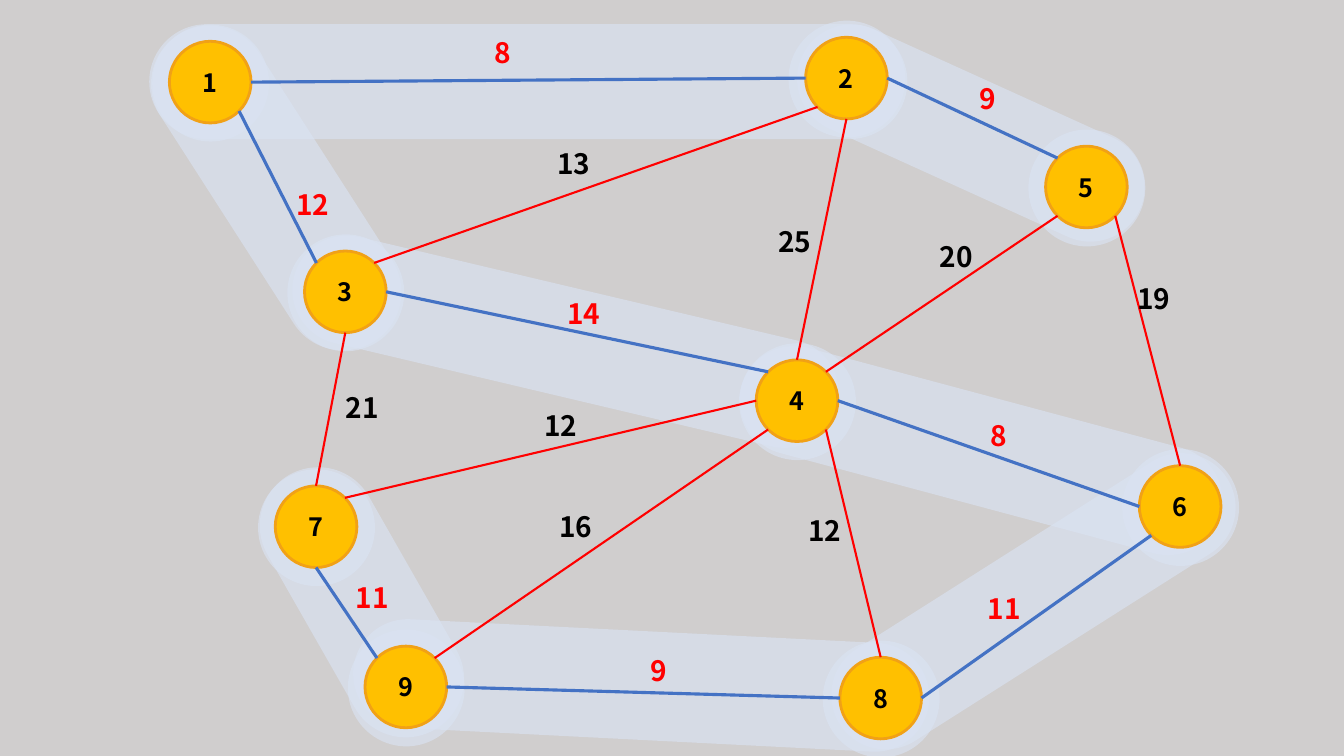
import math

import lxml.etree
import pptx
import pptx.dml.color
import pptx.enum.shapes
import pptx.enum.text
import pptx.oxml.ns
import pptx.util

BACKGROUND = pptx.dml.color.RGBColor(0xD0, 0xCE, 0xCE)
TREE_GLOW = pptx.dml.color.RGBColor(0xDA, 0xE3, 0xF3)
NODE_FILL = pptx.dml.color.RGBColor(0xFF, 0xC0, 0x00)
NODE_RIM = pptx.dml.color.RGBColor(0xF1, 0xA1, 0x16)
TREE_EDGE = pptx.dml.color.RGBColor(0x44, 0x72, 0xC4)
RED = pptx.dml.color.RGBColor(0xFF, 0x00, 0x00)
BLACK = pptx.dml.color.RGBColor(0x00, 0x00, 0x00)

ROUND_RECT = pptx.enum.shapes.MSO_SHAPE.ROUNDED_RECTANGLE
OVAL = pptx.enum.shapes.MSO_SHAPE.OVAL
CENTER = pptx.enum.text.PP_ALIGN.CENTER
LEFT = pptx.enum.text.PP_ALIGN.LEFT

deck = pptx.Presentation()
deck.slide_width = pptx.util.Inches(13.33)
deck.slide_height = pptx.util.Inches(7.5)
graph = deck.slides.add_slide(deck.slide_layouts[6])
graph.background.fill.solid()
graph.background.fill.fore_color.rgb = BACKGROUND

# The slide is a grid of 1333 columns by 750 rows with square cells
COLUMNS = 1333
NODE_SIZE, HALO_SIZE = 81, 116
LABEL_HEIGHT = 44


def cells(*counts):
    return [pptx.util.Emu(round(n * deck.slide_width / COLUMNS)) for n in counts]


def write(shape, text, *, size, color, align=LEFT, wrap=True,
          anchor=pptx.enum.text.MSO_ANCHOR.TOP):
    frame = shape.text_frame
    frame.word_wrap = wrap
    frame.vertical_anchor = anchor
    paragraph = frame.paragraphs[0]
    paragraph.alignment = align
    run = paragraph.add_run()
    run.text = text
    run.font.name = "Noto Sans CJK KR"
    run.font.size = pptx.util.Pt(size)
    run.font.bold = True
    run.font.color.rgb = color


# Node centres (column, row)
nodes = {
    1: (208.5, 81.5), 2: (839.5, 77.5), 3: (342.5, 289.5),
    4: (790.5, 397.5), 5: (1077.5, 185.5), 6: (1170.5, 502.5),
    7: (313.5, 522.5), 8: (873.5, 692.5), 9: (402.5, 681.5),
}

# Bands behind the spanning tree: centre, thickness, length, rotation
bands = [
    (963, 132, 108, 368, 294.4),
    (524, 81, 114, 752, 270),
    (274, 186.5, 116, 361, 327.3),
    (561, 339, 108, 554, 283.3),
    (973, 447, 108, 492, 285),
    (1025, 596.5, 108, 455, 237.6),
    (636, 680, 108, 572, 272.9),
    (359, 597.5, 116, 291, 330.3),
]
glows = [(ROUND_RECT, *band) for band in bands]
glows += [(OVAL, x + 0.5, y + 1, HALO_SIZE, HALO_SIZE, 0) for x, y in nodes.values()]

for outline, x, y, width, height, rotation in glows:
    glow = graph.shapes.add_shape(
        outline, *cells(x - width / 2, y - height / 2, width, height))
    if outline == ROUND_RECT:
        glow.adjustments[0] = 0.5
    glow.rotation = rotation
    glow.shadow.inherit = False
    glow.line.fill.background()
    glow.fill.solid()
    glow.fill.fore_color.rgb = TREE_GLOW
    tint = glow.fill._xPr.find(".//" + pptx.oxml.ns.qn("a:srgbClr"))
    lxml.etree.SubElement(tint, pptx.oxml.ns.qn("a:alpha"), val="63000")

# Numbered nodes
for number, (x, y) in nodes.items():
    node = graph.shapes.add_shape(
        OVAL, *cells(x - NODE_SIZE / 2, y - NODE_SIZE / 2, NODE_SIZE, NODE_SIZE))
    node.shadow.inherit = False
    node.fill.solid()
    node.fill.fore_color.rgb = NODE_FILL
    node.line.color.rgb = NODE_RIM
    node.line.width = pptx.util.Pt(2)
    write(node, str(number), size=18, color=BLACK, align=CENTER,
          anchor=pptx.enum.text.MSO_ANCHOR.MIDDLE)

# Edges: node, side, node, side, weight, label column and row, in the tree
bearings = {side: math.radians(45 * turn) for turn, side in
            enumerate(["E", "SE", "S", "SW", "W", "NW", "N", "NE"])}
edges = [
    (1, "E", 2, "W", 8, 481, 30, True),
    (1, "SE", 3, "NW", 12, 284, 181, True),
    (2, "E", 5, "NW", 9, 962, 76, True),
    (3, "E", 4, "NW", 14, 553, 289, True),
    (4, "E", 6, "W", 8, 973, 410, True),
    (8, "E", 6, "SW", 11, 970, 582, True),
    (9, "E", 8, "W", 9, 635, 643, True),
    (7, "S", 9, "NW", 11, 343, 571, True),
    (3, "NE", 2, "SW", 13, 543, 140, False),
    (2, "S", 4, "N", 25, 762, 218, False),
    (5, "SW", 4, "NE", 20, 922, 233, False),
    (5, "SE", 6, "N", 19, 1118, 274, False),
    (7, "N", 3, "S", 21, 333, 382, False),
    (7, "NE", 4, "W", 12, 530, 400, False),
    (4, "SW", 9, "NE", 16, 545, 501, False),
    (8, "N", 4, "SE", 12, 792, 505, False),
]

for start, start_side, end, end_side, weight, column, row, in_tree in edges:
    ends = []
    for number, side in ((start, start_side), (end, end_side)):
        x, y = nodes[number]
        ends += [x + NODE_SIZE / 2 * math.cos(bearings[side]),
                 y + NODE_SIZE / 2 * math.sin(bearings[side])]
    edge = graph.shapes.add_connector(
        pptx.enum.shapes.MSO_CONNECTOR.STRAIGHT, *cells(*ends))
    edge.line.color.rgb = TREE_EDGE if in_tree else RED
    edge.line.width = pptx.util.Pt(2.25 if in_tree else 1.5)
    lxml.etree.SubElement(edge._element.spPr, pptx.oxml.ns.qn("a:effectLst"))

    label_width = 36 if weight < 10 else 53
    label = graph.shapes.add_textbox(*cells(column, row, label_width, LABEL_HEIGHT))
    write(label, str(weight), size=20, color=RED if in_tree else BLACK, wrap=False)

deck.save("out.pptx")
